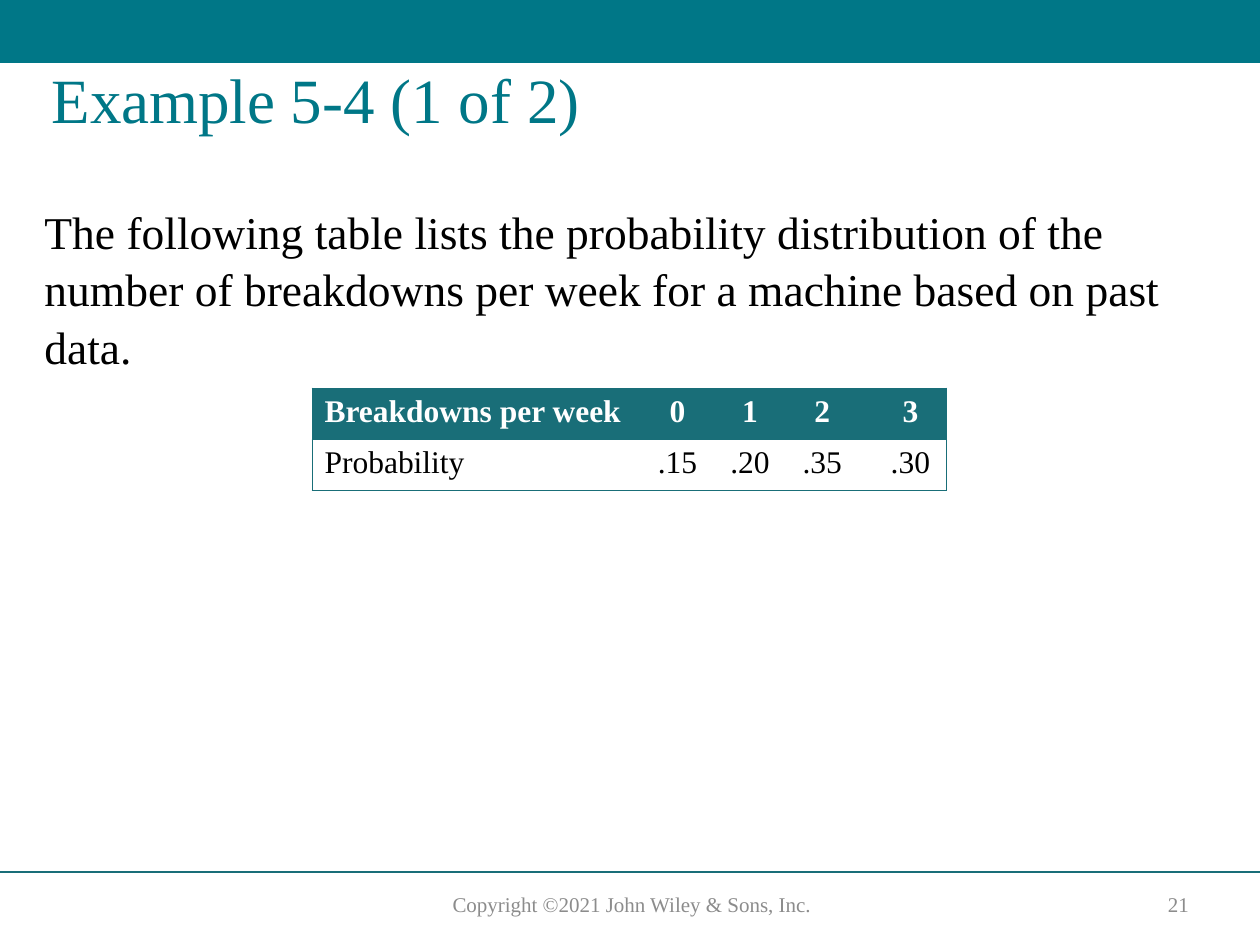
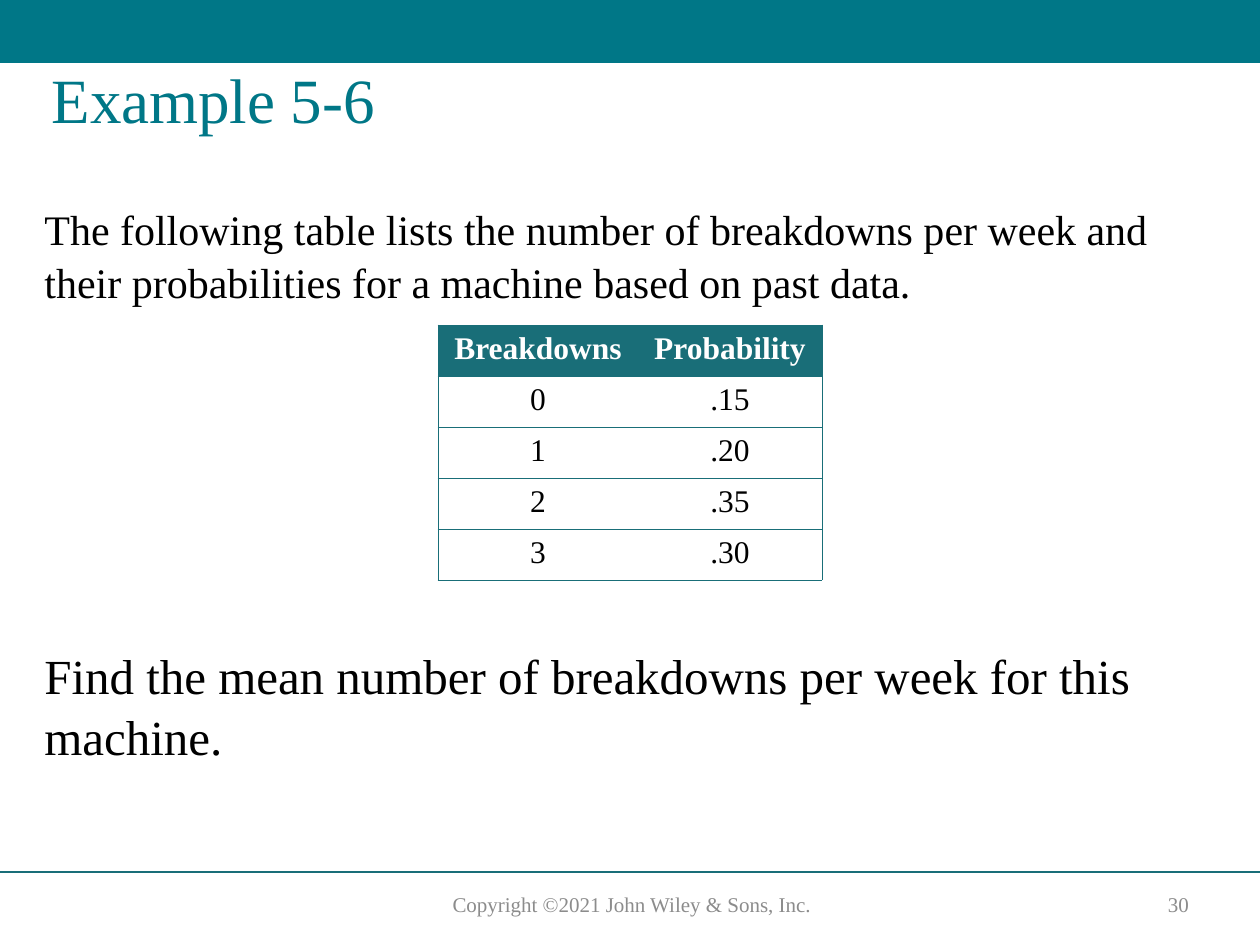
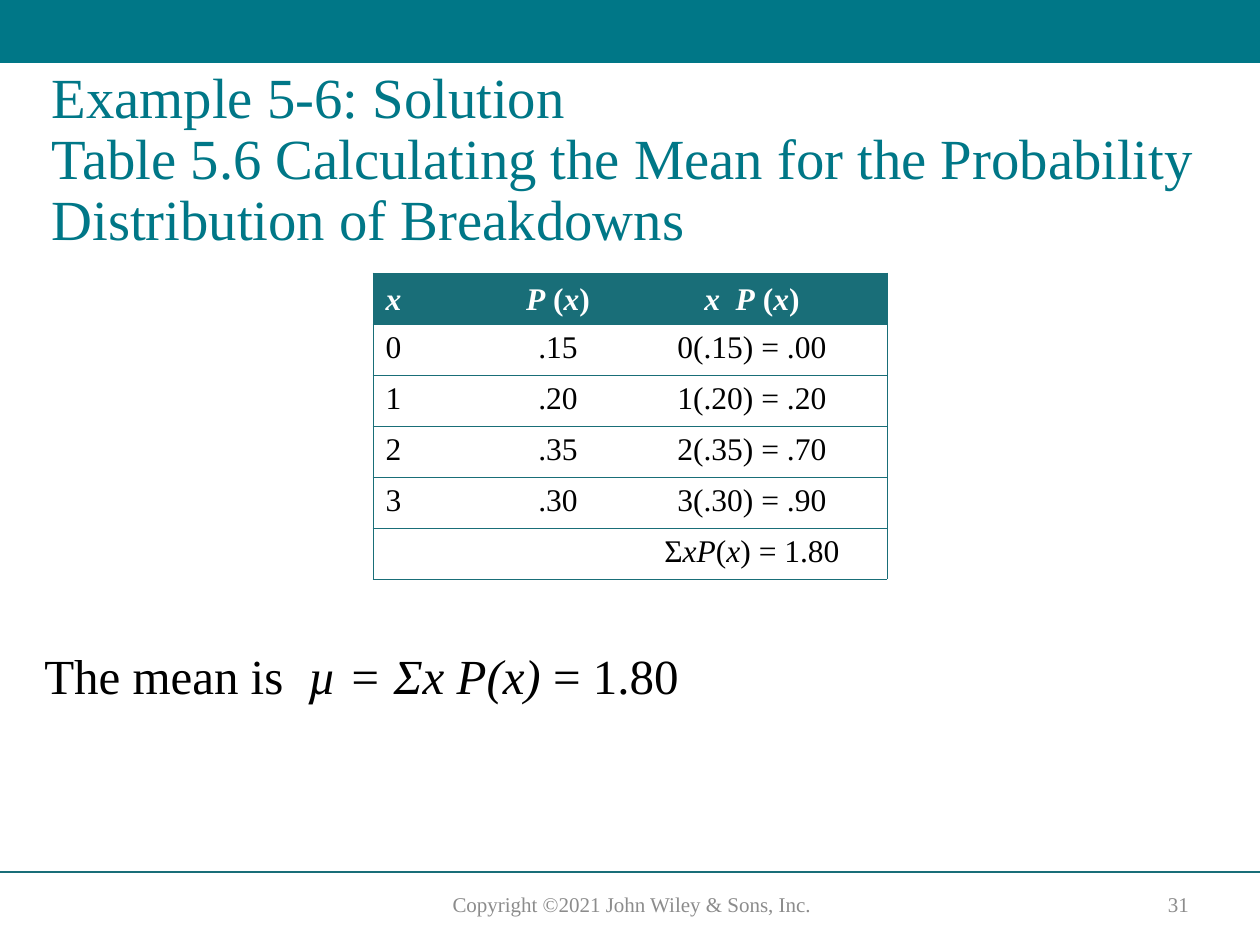
from typing import NamedTuple, Optional

import pptx
import pptx.dml.color
import pptx.enum.shapes
import pptx.enum.text
import pptx.oxml
import pptx.oxml.ns
import pptx.util

PX_PER_INCH = 126
WIDTH, HEIGHT = 1260, 945
FONT = "Times New Roman"
COLORS = {
    "band": "007787",
    "rule": "196E78",
    "footer": "8C8C8C",
    "text": "000000",
    "header": "FFFFFF",
}
COPYRIGHT = "Copyright ©2021 John Wiley & Sons, Inc."
ROW_HEIGHT = 51
CELL_SIZE = 18
BORDER_PT = 0.5

LEFT = pptx.enum.text.PP_ALIGN.LEFT
CENTER = pptx.enum.text.PP_ALIGN.CENTER
TOP = pptx.enum.text.MSO_ANCHOR.TOP
MIDDLE = pptx.enum.text.MSO_ANCHOR.MIDDLE
BOTTOM = pptx.enum.text.MSO_ANCHOR.BOTTOM


class Box(NamedTuple):
    x: int
    y: int
    w: int
    h: int


class Style(NamedTuple):
    size: float
    color: str
    bold: bool = False
    align: pptx.enum.text.PP_ALIGN = LEFT
    spacing: Optional[float] = None
    after: int = 0


class Body(NamedTuple):
    box: Box
    text: str
    size: int


class Grid(NamedTuple):
    x: int
    y: int
    widths: list[int]
    rows: list[list[str]]
    left_columns: int = 0
    header_anchor: pptx.enum.text.MSO_ANCHOR = TOP
    after: int = 3
    right_margins: dict[int, int] = {}


class Page(NamedTuple):
    number: int
    title: str
    title_size: float
    title_height: int
    bodies: list[Body]
    grid: Grid


TITLE_X, TITLE_Y, TITLE_W = 39, 63, 1176
FOOTER = Box(406, 885, 452, 38)
NUMBER = Box(1140, 887, 77, 35)
INTRO = Box(32, 195, 1176, 183)
CLOSING = Box(32, 636, 1183, 226)

PROBABILITIES = [".15", ".20", ".35", ".30"]
PRODUCTS = [".00", ".20", ".70", ".90"]

# Text between asterisks is italic
PAGES = [
    Page(21, "Example 5-4 (1 of 2)", 36, 136,
         [Body(INTRO, "The following table lists the probability distribution of the "
                      "number of breakdowns per week for a machine based on past data.", 26)],
         Grid(312, 388, [329, 73, 72, 88, 73],
              [["Breakdowns per week", "0", "1", "2", "3"],
               ["Probability", *PROBABILITIES]],
              left_columns=1, after=0, right_margins={3: 28})),
    Page(30, "Example 5-6", 36, 136,
         [Body(CLOSING, "Find the mean number of breakdowns per week for this machine.", 28),
          Body(INTRO._replace(h=113),
               "The following table lists the number of breakdowns per week and "
               "their probabilities for a machine based on past data.", 24)],
         Grid(438, 325, [200, 184],
              [["Breakdowns", "Probability"]]
              + [[str(n), p] for n, p in enumerate(PROBABILITIES)])),
    Page(31, "Example 5-6: Solution\nTable 5.6 Calculating the Mean for the Probability "
             "Distribution of Breakdowns", 32.4, 181,
         [Body(CLOSING._replace(h=88), "The mean is  *µ = Σx P(x) *= 1.80", 28)],
         Grid(373, 273, [126, 118, 270],
              [["*x*", "*P* (*x*)", "*x  P* (*x*)"]]
              + [[str(n), p, f"{n}({p}) = {product}"]
                 for n, (p, product) in enumerate(zip(PROBABILITIES, PRODUCTS))]
              + [["", "", "Σ*xP*(*x*) = 1.80"]],
              left_columns=1, header_anchor=BOTTOM)),
]


def px(n: int) -> pptx.util.Emu:
    return pptx.util.Emu(round(n * 914400 / PX_PER_INCH))


def rgb(name: str) -> pptx.dml.color.RGBColor:
    return pptx.dml.color.RGBColor.from_string(COLORS[name])


def write(tf, text: str, style: Style) -> None:
    p = tf.paragraphs[0]
    p.alignment = style.align
    p.space_before = pptx.util.Pt(0)
    p.space_after = pptx.util.Pt(style.after)
    if style.spacing:
        p.line_spacing = style.spacing
    p.font.size = pptx.util.Pt(style.size)
    for i, line in enumerate(text.split("\n")):
        if i:
            p.add_line_break()
        for j, part in enumerate(line.split("*")):
            if not part:
                continue
            r = p.add_run()
            r.text = part
            r.font.name = FONT
            r.font.size = pptx.util.Pt(style.size)
            r.font.bold = style.bold
            r.font.italic = j % 2 == 1
            r.font.color.rgb = rgb(style.color)


def add_text(s, box: Box, text: str, style: Style, anchor=TOP) -> None:
    tf = s.shapes.add_textbox(*map(px, box)).text_frame
    tf.word_wrap = True
    tf.vertical_anchor = anchor
    write(tf, text, style)


def add_frame(s, number: int) -> None:
    # Top band
    band = s.shapes.add_shape(pptx.enum.shapes.MSO_SHAPE.RECTANGLE, 0, 0, px(WIDTH), px(63))
    band.shadow.inherit = False
    band.fill.solid()
    band.fill.fore_color.rgb = rgb("band")
    band.line.fill.background()

    # Footer rule
    rule = s.shapes.add_connector(pptx.enum.shapes.MSO_CONNECTOR.STRAIGHT,
                                  0, px(872), px(WIDTH), px(872))
    rule.line.color.rgb = rgb("rule")
    rule.line.width = pptx.util.Pt(1)
    rule._element.spPr.append(pptx.oxml.parse_xml(
        f'<a:effectLst {pptx.oxml.ns.nsdecls("a")}/>'))

    # Copyright and slide number
    style = Style(12, "footer", align=CENTER)
    add_text(s, FOOTER, COPYRIGHT, style)
    add_text(s, NUMBER, str(number), style, MIDDLE)


def add_title(s, page: Page) -> None:
    sp = s.shapes.title
    sp.left, sp.top = px(TITLE_X), px(TITLE_Y)
    sp.width, sp.height = px(TITLE_W), px(page.title_height)
    tf = sp.text_frame
    tf.auto_size = pptx.enum.text.MSO_AUTO_SIZE.NONE
    tf.word_wrap = True
    tf.vertical_anchor = TOP
    write(tf, page.title, Style(page.title_size, "band", spacing=0.9))


def set_borders(cell, first: bool, last: bool) -> None:
    visible = {"L": first, "R": last, "T": True, "B": True}
    tcPr = cell._tc.get_or_add_tcPr()
    for i, (side, shown) in enumerate(visible.items()):
        fill = (f'<a:solidFill><a:srgbClr val="{COLORS["rule"]}"/></a:solidFill>'
                if shown else "<a:noFill/>")
        tcPr.insert(i, pptx.oxml.parse_xml(
            f'<a:ln{side} {pptx.oxml.ns.nsdecls("a")} '
            f'w="{pptx.util.Pt(BORDER_PT)}">{fill}</a:ln{side}>'))


def add_grid(s, grid: Grid) -> None:
    rows, cols = len(grid.rows), len(grid.widths)
    table = s.shapes.add_table(rows, cols, px(grid.x), px(grid.y),
                               px(sum(grid.widths)), px(ROW_HEIGHT * rows)).table
    table.horz_banding = False
    for column, width in zip(table.columns, grid.widths):
        column.width = px(width)
    for i, texts in enumerate(grid.rows):
        table.rows[i].height = px(ROW_HEIGHT)
        header = i == 0
        for j, text in enumerate(texts):
            cell = table.cell(i, j)
            if header:
                cell.fill.solid()
                cell.fill.fore_color.rgb = rgb("rule")
                cell.vertical_anchor = grid.header_anchor
            else:
                cell.fill.background()
            if j in grid.right_margins:
                cell.margin_right = px(grid.right_margins[j])
            set_borders(cell, j == 0, j == cols - 1)
            write(cell.text_frame, text, Style(
                CELL_SIZE, "header" if header else "text", bold=header,
                align=LEFT if j < grid.left_columns else CENTER,
                after=0 if header else grid.after))


def main() -> None:
    prs = pptx.Presentation()
    prs.slide_width, prs.slide_height = px(WIDTH), px(HEIGHT)
    for page in PAGES:
        s = prs.slides.add_slide(prs.slide_layouts[5])
        add_frame(s, page.number)
        add_title(s, page)
        for body in page.bodies:
            add_text(s, body.box, body.text, Style(body.size, "text", spacing=1.05))
        add_grid(s, page.grid)
    prs.save("out.pptx")


if __name__ == "__main__":
    main()
